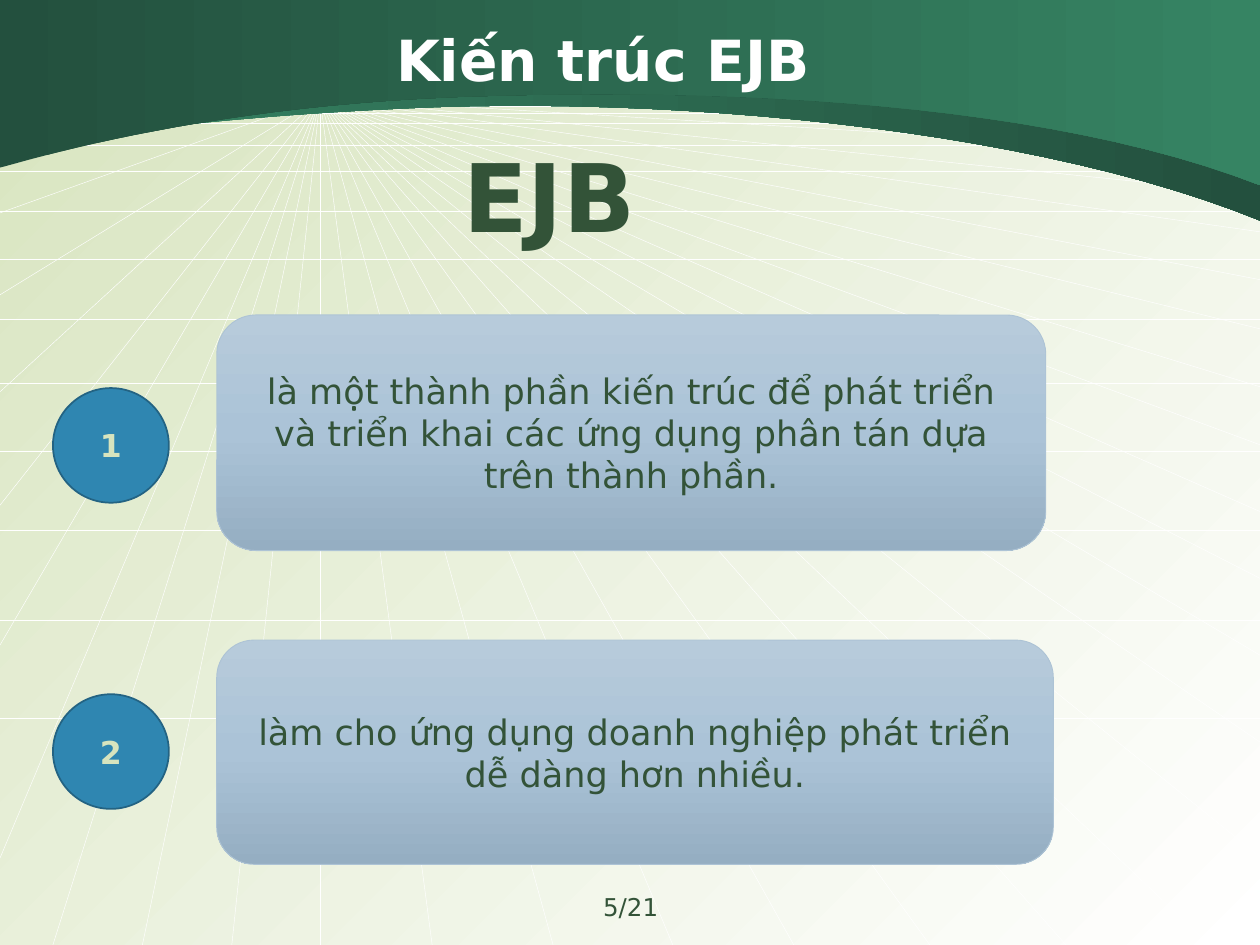
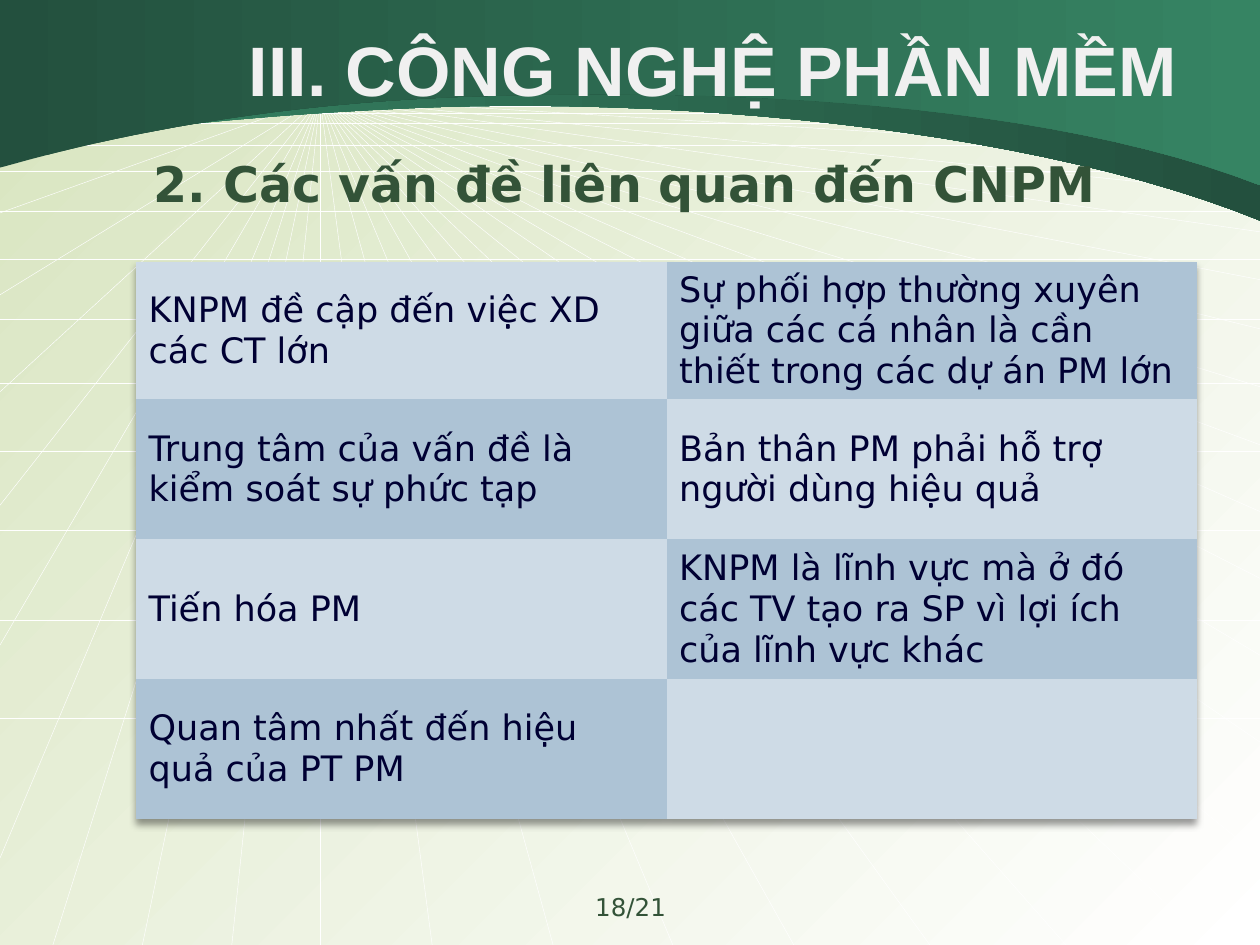
from copy import deepcopy

from lxml.etree import SubElement
from pptx import Presentation
from pptx.dml.color import RGBColor
from pptx.enum.shapes import MSO_CONNECTOR, MSO_SHAPE
from pptx.enum.text import MSO_ANCHOR, MSO_AUTO_SIZE, PP_ALIGN
from pptx.oxml import parse_xml
from pptx.oxml.ns import nsdecls, qn
from pptx.util import Inches, Pt

# Content
SLIDE_TOTAL = 21
EJB_TITLE = "Kiến trúc EJB"
EJB_HEADING = "EJB"
EJB_POINTS = [  # text, (left, top, width, height) of the panel, top of the number
    ("là một thành phần kiến trúc để phát triển và triển khai các ứng dụng "
     "phân tán dựa trên thành phần.", (1.72, 2.5, 6.58, 1.87), 3.08),
    ("làm cho ứng dụng doanh nghiệp phát triển dễ dàng hơn nhiều.",
     (1.72, 5.08, 6.64, 1.78), 5.51),
]
ISSUES_TITLE = "III. CÔNG NGHỆ PHẦN MỀM"
ISSUES_HEADING = "2. Các vấn đề liên quan đến CNPM"
ISSUES = [
    ("KNPM đề cập đến việc XD các CT lớn",
     "Sự phối hợp thường xuyên giữa các cá nhân là cần thiết trong các dự án PM lớn"),
    ("Trung tâm của vấn đề là kiểm soát sự phức tạp",
     "Bản thân PM phải hỗ trợ người dùng hiệu quả"),
    ("Tiến hóa PM",
     "KNPM là lĩnh vực mà ở đó các TV tạo ra SP vì lợi ích của lĩnh vực khác"),
    ("Quan tâm nhất đến hiệu quả của PT PM", ""),
]

# Shared look
WIDTH, HEIGHT = 10, 7.5
FONT, TITLE_FONT = "DejaVu Sans", "Arial"
WHITE, TITLE_GREY, TEXT_GREEN, NAVY = "FFFFFF", "F0F0F0", "335338", "000033"
PALE_GREEN, DARK_BAND, LIGHT_BAND = "D7E4BE", "23503E", "368463"
PANEL_COLORS, PANEL_LINE = ("B7CBDB", "ABC3D7", "95AEC2"), "ADC3D5"
NUMBER_FILL, NUMBER_LINE = "2F86B1", "236383"
CELL_FILLS = ("CEDBE6", "ADC3D5")
NO_STYLE_TABLE = "{2D5ABB26-0587-4C30-8999-92F81FD0307C}"

# Perspective grid: rays run from one vanishing point to three slide edges
VANISHING_POINT = (2.54, 0.78)
RAY_RIGHT_YS = (1, 1.23, 1.54, 1.84, 2.22, 2.61, 3.07, 3.53, 4.06, 4.59, 5.2, 5.89, 6.8)
RAY_BOTTOM_XS = (0.42, 1.13, 1.84, 2.54, 3.43, 4.39, 5.34, 6.3, 7.38, 8.46, 9.6)
RAY_LEFT_YS = (0.78, 0.97, 1.16, 1.69, 2.34, 3.11, 4.01, 5.12, 6.81)
HORIZON_YS = (0.84, 0.9, 0.98, 1.15, 1.36, 1.68, 2.06, 2.53, 3.04, 3.58, 4.21, 4.92, 5.7)

# Header bands: lower edge as joined Bézier curves, then colours left to right
BANDS = [
    ([(0, 1.19), (0.11, 1.18), (1.33, 0.93), (3.47, 0.85),
      (5.61, 0.78), (8.31, 1.06), (10, 1.75)], (LIGHT_BAND, DARK_BAND)),
    ([(0, 1.33), (0.11, 1.31), (1.51, 0.85), (3.64, 0.77),
      (5.77, 0.69), (8.31, 0.81), (10, 1.47)], (DARK_BAND, LIGHT_BAND)),
]
CURVE_STEPS = 24


def rgb(color):
    return RGBColor.from_string(color)


def paint_gradient(fill, element, colors, angle):
    """Fill with evenly spaced colours; angle is clockwise in degrees."""
    fill.gradient()
    fill.gradient_angle = (360 - angle) % 360
    first_stop = element.xpath(".//a:gs")[0]
    for _ in colors[2:]:
        first_stop.addnext(deepcopy(first_stop))
    for index, (stop, color) in enumerate(zip(fill.gradient_stops, colors)):
        stop.color.rgb = rgb(color)
        stop.position = index / (len(colors) - 1)


def write(frame, text, size=20, color=TEXT_GREEN, font=FONT, bold=False, align=None):
    paragraph = frame.paragraphs[0]
    paragraph.alignment = align
    run = paragraph.add_run()
    run.text = text
    run.font.size, run.font.bold, run.font.name = Pt(size), bold, font
    run.font.color.rgb = rgb(color)


def place(shape, left, top, width, height, anchor=MSO_ANCHOR.TOP):
    shape.left, shape.top = Inches(left), Inches(top)
    shape.width, shape.height = Inches(width), Inches(height)
    frame = shape.text_frame
    frame.word_wrap = True
    frame.auto_size = MSO_AUTO_SIZE.NONE
    frame.vertical_anchor = anchor
    return frame


def add_box(slide, box, text, **text_format):
    shape = slide.shapes.add_textbox(0, 0, 0, 0)
    write(place(shape, *box), text, **text_format)


def add_outlined(slide, preset, box, line_color, line_width):
    shape = slide.shapes.add_shape(preset, 0, 0, 0, 0)
    place(shape, *box, anchor=MSO_ANCHOR.MIDDLE)
    shape.shadow.inherit = False
    shape.line.color.rgb = rgb(line_color)
    shape.line.width = Pt(line_width)
    return shape


def set_title(slide, text, box, **text_format):
    frame = place(slide.shapes.title, *box, anchor=MSO_ANCHOR.MIDDLE)
    write(frame, text, bold=True, align=PP_ALIGN.CENTER, **text_format)


def add_page_number(slide, number):
    add_box(slide, (3.42, 7.03, 3.17, 0.35), f"{number}/{SLIDE_TOTAL}",
            size=14, align=PP_ALIGN.CENTER)


def add_grid_line(shapes, start, end):
    line = shapes.add_connector(MSO_CONNECTOR.STRAIGHT, *map(Inches, start + end))
    line.line.color.rgb = rgb(WHITE)
    line.line.width = Pt(0.25)
    SubElement(line.element.spPr, qn("a:effectLst"))


def curve_points(controls):
    """Sample joined cubic Bézier curves that share their end points."""
    points = [controls[0]]
    for first in range(0, len(controls) - 1, 3):
        corners = controls[first:first + 4]
        for step in range(1, CURVE_STEPS + 1):
            t = step / CURVE_STEPS
            weights = ((1 - t) ** 3, 3 * t * (1 - t) ** 2, 3 * t * t * (1 - t), t ** 3)
            points.append(tuple(sum(weight * corner[axis] for weight, corner
                                    in zip(weights, corners)) for axis in (0, 1)))
    return points


def add_band(shapes, lower_edge, colors):
    outline = curve_points(lower_edge) + [(WIDTH, 0)]
    builder = shapes.build_freeform(0, 0, scale=1.0)
    builder.add_line_segments([(Inches(x), Inches(y)) for x, y in outline], close=True)
    band = builder.convert_to_shape()
    band.shadow.inherit = False
    band.line.fill.background()
    paint_gradient(band.fill, band.element, colors, 0)


def decorate_master(master, slide):
    """Draw the grid and bands on a slide, then move them behind the master's parts."""
    background = master.background.fill
    paint_gradient(background, master.element, (PALE_GREEN, WHITE), 45)
    group = slide.shapes.add_group_shape()
    ray_ends = ([(WIDTH, y) for y in RAY_RIGHT_YS]
                + [(x, HEIGHT) for x in RAY_BOTTOM_XS]
                + [(0, y) for y in RAY_LEFT_YS])
    for end in ray_ends:
        add_grid_line(group.shapes, VANISHING_POINT, end)
    for y in HORIZON_YS:
        add_grid_line(group.shapes, (0, y), (WIDTH, y))
    for lower_edge, colors in BANDS:
        add_band(group.shapes, lower_edge, colors)
    for number, properties in enumerate(group.element.xpath(".//p:cNvPr"), start=100):
        properties.set("id", str(number))
    master.shapes.element.insert(2, group.element)


def build_ejb_slide(slide):
    set_title(slide, EJB_TITLE, (2.75, 0.05, 4.07, 0.83), size=32.4, color=WHITE)
    for number, (text, panel_box, number_top) in enumerate(EJB_POINTS, start=1):
        panel = add_outlined(slide, MSO_SHAPE.ROUNDED_RECTANGLE, panel_box, PANEL_LINE, 0.5)
        paint_gradient(panel.fill, panel.element, PANEL_COLORS, 90)
        write(panel.text_frame, text, align=PP_ALIGN.CENTER)
        circle = add_outlined(slide, MSO_SHAPE.OVAL, (0.42, number_top, 0.92, 0.91),
                              NUMBER_LINE, 1)
        circle.fill.solid()
        circle.fill.fore_color.rgb = rgb(NUMBER_FILL)
        write(circle.text_frame, str(number), size=18, color=PALE_GREEN, bold=True,
              align=PP_ALIGN.CENTER)
    add_box(slide, (3.58, 1.05, 1.83, 1), EJB_HEADING, size=54, bold=True)
    add_page_number(slide, 5)


def add_issue_table(slide):
    frame = slide.shapes.add_table(len(ISSUES), 2, Inches(1.08), Inches(2.08),
                                   Inches(8.42), Inches(4.42))
    table = frame.table
    table.first_row = table.horz_banding = False
    properties = frame.element.xpath(".//a:tblPr")[0]
    properties.find(qn("a:tableStyleId")).text = NO_STYLE_TABLE
    properties.insert(0, parse_xml(
        f'<a:effectLst {nsdecls("a")}><a:outerShdw blurRad="50800" dist="38100" '
        'dir="5400000"><a:srgbClr val="000000"><a:alpha val="40000"/></a:srgbClr>'
        '</a:outerShdw></a:effectLst>'))
    for row_index, texts in enumerate(ISSUES):
        table.rows[row_index].height = Inches(1.11 if row_index else 1.09)
        for column_index, text in enumerate(texts):
            cell = table.cell(row_index, column_index)
            cell.vertical_anchor = MSO_ANCHOR.MIDDLE
            cell.fill.solid()
            cell.fill.fore_color.rgb = rgb(CELL_FILLS[(row_index + column_index) % 2])
            if text:
                write(cell.text_frame, text, color=NAVY)


def build_issues_slide(slide):
    set_title(slide, ISSUES_TITLE, (1.62, 0.23, 8.08, 0.62),
              size=40, color=TITLE_GREY, font=TITLE_FONT)
    frame = place(slide.placeholders[1], 0.85, 1.17, 8.48, 5.68)
    write(frame, ISSUES_HEADING, size=28, bold=True)
    paragraph_format = frame.paragraphs[0].element if hasattr(
        frame.paragraphs[0], "element") else frame.paragraphs[0]._p
    properties = paragraph_format.get_or_add_pPr()
    properties.set("marL", str(Inches(0.27)))
    properties.set("indent", "0")
    SubElement(properties, qn("a:buNone"))
    add_page_number(slide, 18)
    add_issue_table(slide)


def main():
    presentation = Presentation()
    presentation.slide_width, presentation.slide_height = Inches(WIDTH), Inches(HEIGHT)
    layouts = presentation.slide_layouts
    ejb_slide = presentation.slides.add_slide(layouts.get_by_name("Title Only"))
    issues_slide = presentation.slides.add_slide(layouts.get_by_name("Title and Content"))
    decorate_master(presentation.slide_master, ejb_slide)
    build_ejb_slide(ejb_slide)
    build_issues_slide(issues_slide)
    presentation.save("out.pptx")


if __name__ == "__main__":
    main()
